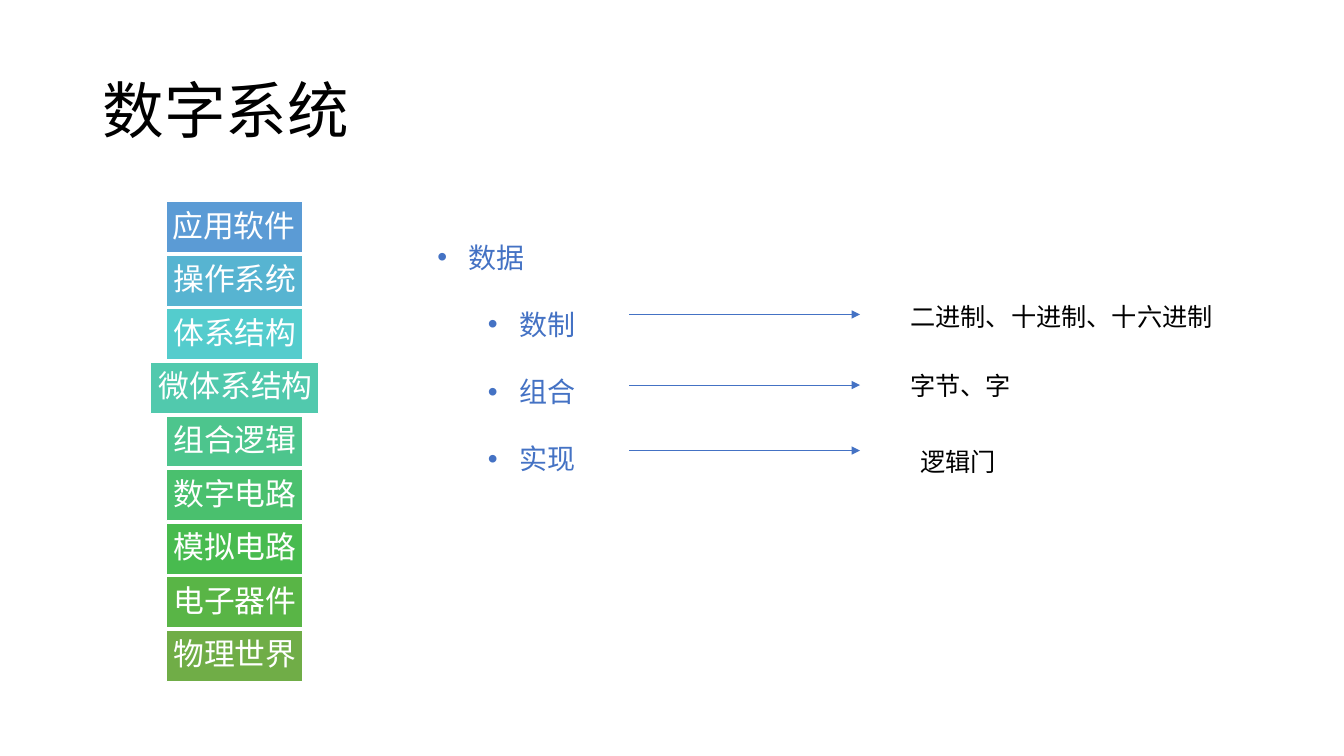
import dataclasses

import pptx
import pptx.dml.color
import pptx.enum.shapes
import pptx.enum.text
import pptx.oxml.ns
import pptx.util
from lxml import etree

Inches = pptx.util.Inches
Pt = pptx.util.Pt
qn = pptx.oxml.ns.qn
Align = pptx.enum.text.PP_ALIGN
Anchor = pptx.enum.text.MSO_ANCHOR


@dataclasses.dataclass(frozen=True)
class Theme:
    font: str = "Noto Sans CJK SC"
    ink: str = "000000"
    paper: str = "FFFFFF"
    accent: str = "4472C4"
    title_size: int = 44
    layer_size: int = 22
    bullet_size: int = 20
    note_size: int = 18


THEME = Theme()

# Layers of a digital system, top to bottom, with their fills
LAYERS = [
    ("应用软件", "5B9BD5"),
    ("操作系统", "57B4D1"),
    ("体系结构", "54CCCD"),
    ("微体系结构", "51C9AD"),
    ("组合逻辑", "4DC58D"),
    ("数字电路", "4AC06E"),
    ("模拟电路", "48BB4F"),
    ("电子器件", "59B546"),
    ("物理世界", "70AD47"),
]
STACK_CENTER = 2.325
STACK_TOP, STACK_LAST_TOP = 2, 6.25
LAYER_HEIGHT = 0.51

# Bullet text and indent level
TOPICS = [("数据", 0), ("数制", 1), ("组合", 1), ("实现", 1)]

# Arrow height, then the note's left, top, width and text
NOTES = [
    (3.12, 8.93, 2.94, 3.23, "二进制、十进制、十六进制"),
    (3.82, 8.93, 3.62, 1.21, "字节、字"),
    (4.47, 9.03, 4.38, 0.96, "逻辑门"),
]
ARROW_START, ARROW_END = 6.24, 8.53


def rgb(color):
    return pptx.dml.color.RGBColor.from_string(color)


def add_run(paragraph, text, size, color):
    run = paragraph.add_run()
    run.text = text
    run.font.size = Pt(size)
    run.font.name = THEME.font
    run.font.color.rgb = rgb(color)
    latin = run.font._element.find(qn("a:latin"))
    east_asian = etree.Element(qn("a:ea"), typeface=THEME.font)
    latin.addnext(east_asian)


def add_text_frame(slide, left, top, width, height, wrap=True):
    box = slide.shapes.add_textbox(
        Inches(left), Inches(top), Inches(width), Inches(height))
    box.text_frame.word_wrap = wrap
    return box.text_frame


def add_title(slide, text):
    frame = add_text_frame(slide, 0.92, 0.4, 11.5, 1.45)
    frame.vertical_anchor = Anchor.MIDDLE
    heading = frame.paragraphs[0]
    heading.line_spacing = 0.9
    add_run(heading, text, THEME.title_size, THEME.ink)


def add_layer(slide, top, text, fill, align):
    # Each extra character beyond four widens the box
    width = 1.35 + 0.32 * (len(text) - 4)
    layer = slide.shapes.add_shape(
        pptx.enum.shapes.MSO_SHAPE.RECTANGLE,
        Inches(STACK_CENTER - width / 2), Inches(top),
        Inches(width), Inches(LAYER_HEIGHT))
    layer.shadow.inherit = False
    layer.fill.solid()
    layer.fill.fore_color.rgb = rgb(fill)
    layer.line.color.rgb = rgb(THEME.paper)
    layer.line.width = Pt(1)
    frame = layer.text_frame
    frame.word_wrap = True
    frame.vertical_anchor = Anchor.MIDDLE
    frame.margin_left = frame.margin_right = Inches(0.06)
    frame.margin_top = frame.margin_bottom = Inches(0.06)
    label = frame.paragraphs[0]
    label.alignment = align
    label.line_spacing = 0.9
    label.space_after = Pt(0.35 * THEME.layer_size)
    add_run(label, text, THEME.layer_size, THEME.paper)


def add_layer_stack(slide):
    pitch = (STACK_LAST_TOP - STACK_TOP) / (len(LAYERS) - 1)
    for row, (text, fill) in enumerate(LAYERS):
        align = Align.RIGHT if row else Align.JUSTIFY
        add_layer(slide, STACK_TOP + row * pitch, text, fill, align)


def add_topics(slide):
    frame = add_text_frame(slide, 4.24, 2, 7.69, 2.7)
    for row, (text, level) in enumerate(TOPICS):
        topic = frame.add_paragraph() if row else frame.paragraphs[0]
        topic.level = level
        topic.line_spacing = 2.0
        properties = topic._p.get_or_add_pPr()
        properties.set("marL", str(Inches(0.31 + 0.5 * level)))
        properties.set("indent", str(Inches(-0.31)))
        etree.SubElement(properties, qn("a:buFont"), typeface="Arial")
        etree.SubElement(properties, qn("a:buChar"), char="•")
        add_run(topic, text, THEME.bullet_size, THEME.accent)


def add_arrow(slide, height):
    arrow = slide.shapes.add_connector(
        pptx.enum.shapes.MSO_CONNECTOR.STRAIGHT,
        Inches(ARROW_START), Inches(height),
        Inches(ARROW_END), Inches(height))
    arrow.line.color.rgb = rgb(THEME.accent)
    arrow.line.width = Pt(0.5)
    etree.SubElement(arrow.line._get_or_add_ln(), qn("a:tailEnd"), type="triangle")
    etree.SubElement(arrow._element.spPr, qn("a:effectLst"))


def add_note(slide, left, top, width, text):
    frame = add_text_frame(slide, left, top, width, 0.4, wrap=False)
    frame.auto_size = pptx.enum.text.MSO_AUTO_SIZE.SHAPE_TO_FIT_TEXT
    add_run(frame.paragraphs[0], text, THEME.note_size, THEME.ink)


def main():
    deck = pptx.Presentation()
    deck.slide_width, deck.slide_height = Inches(13.33), Inches(7.5)
    slide = deck.slides.add_slide(deck.slide_layouts[6])

    # Title and the layer stack on the left
    add_title(slide, "数字系统")
    add_layer_stack(slide)

    # Topics, each pointing to its examples
    add_topics(slide)
    for height, left, top, width, text in NOTES:
        add_arrow(slide, height)
        add_note(slide, left, top, width, text)

    deck.save("out.pptx")


if __name__ == "__main__":
    main()
